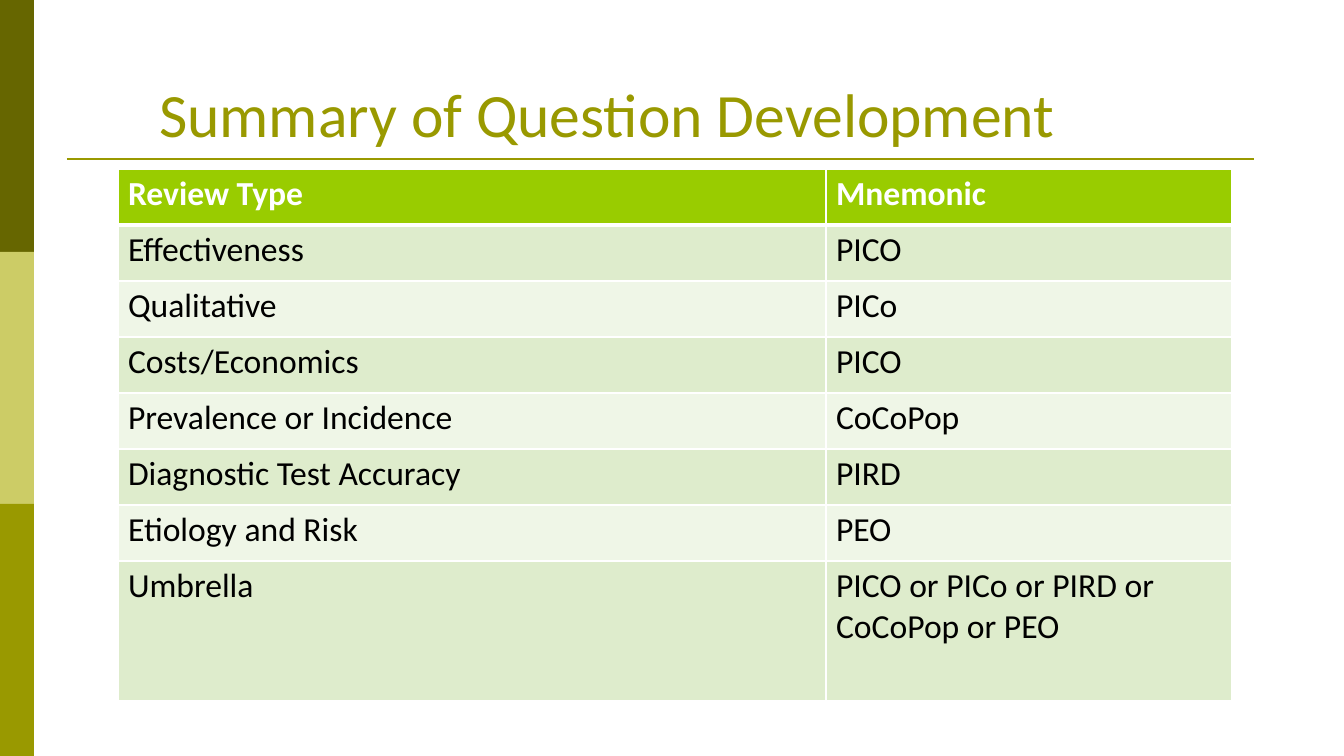
from lxml import etree
from pptx import Presentation
from pptx.dml.color import RGBColor
from pptx.enum.shapes import MSO_CONNECTOR, MSO_SHAPE
from pptx.enum.text import MSO_ANCHOR, MSO_AUTO_SIZE, PP_ALIGN
from pptx.oxml.ns import qn
from pptx.util import Emu, Pt

RECT, LINE = MSO_SHAPE.RECTANGLE, MSO_CONNECTOR.STRAIGHT
TOP, BOTTOM, LEFT = MSO_ANCHOR.TOP, MSO_ANCHOR.BOTTOM, PP_ALIGN.LEFT
NO_FIT = MSO_AUTO_SIZE.NONE

# Content
TITLE = "Summary of Question Development"
ROWS = [
    ("Review Type", "Mnemonic"),
    ("Effectiveness", "PICO"),
    ("Qualitative", "PICo"),
    ("Costs/Economics", "PICO"),
    ("Prevalence or Incidence", "CoCoPop"),
    ("Diagnostic Test Accuracy", "PIRD"),
    ("Etiology and Risk", "PEO"),
    ("Umbrella", "PICO or PICo or PIRD or CoCoPop or PEO"),
]

# Look and layout, in px
COLORS = {"dark": "666600", "light": "CCCC66", "olive": "999900",
          "header": "99CC00", "odd": "DEECCC", "even": "EFF6E7",
          "white": "FFFFFF", "black": "000000"}
FONT = "Calibri"
SLIDE_W, SLIDE_H = 1344, 756
BAND_W, BANDS = 34, ("dark", "light", "olive")
TITLE_BOX = (149, 43, 976, 112)
RULE_X1, RULE_X2, RULE_Y = 67, 1254, 159
TABLE_X, TABLE_Y = 118, 169
COL_W = (708, 406)
ROW_H, LAST_ROW_H = 56, 140


def px(n):
    return Emu(round(n * 914400 / 100.8))


def rgb(name):
    return RGBColor.from_string(COLORS[name])


def put_text(tf, text, size=24, color="black", bold=False):
    p = tf.paragraphs[0]
    p.alignment = LEFT
    r = p.add_run()
    r.text = text
    r.font.name, r.font.size, r.font.bold = FONT, Pt(size), bold
    r.font.color.rgb = rgb(color)


def set_borders(cell, **widths):
    tcPr = cell._tc.get_or_add_tcPr()
    for i, (side, width) in enumerate(widths.items()):
        ln = etree.Element(qn(f"a:{side}"), w=str(Pt(width)))
        fill = etree.SubElement(ln, qn("a:solidFill"))
        etree.SubElement(fill, qn("a:srgbClr"), val=COLORS["white"])
        tcPr.insert(i, ln)


prs = Presentation()
prs.slide_width, prs.slide_height = px(SLIDE_W), px(SLIDE_H)
s = prs.slides.add_slide(prs.slide_layouts[5])

# Side bands
band_h = SLIDE_H / len(BANDS)
for i, color in enumerate(BANDS):
    sp = s.shapes.add_shape(RECT, 0, px(i * band_h), px(BAND_W), px(band_h))
    sp.shadow.inherit = False
    sp.fill.solid()
    sp.fill.fore_color.rgb = rgb(color)
    sp.line.fill.background()

# Rule under the title
rule = s.shapes.add_connector(LINE, px(RULE_X1), px(RULE_Y), px(RULE_X2), px(RULE_Y))
rule.line.color.rgb = rgb("olive")
rule.line.width = Pt(1.5)
etree.SubElement(rule._element.spPr, qn("a:effectLst"))

# Title
title = s.shapes.title
title.left, title.top, title.width, title.height = map(px, TITLE_BOX)
tf = title.text_frame
tf.word_wrap, tf.auto_size, tf.vertical_anchor = True, NO_FIT, BOTTOM
put_text(tf, TITLE, size=44, color="olive")

# Table
heights = [ROW_H] * (len(ROWS) - 1) + [LAST_ROW_H]
table = s.shapes.add_table(len(ROWS), len(COL_W), px(TABLE_X), px(TABLE_Y),
                           px(sum(COL_W)), px(sum(heights))).table
for col, width in zip(table.columns, COL_W):
    col.width = px(width)
for i, (row, height, texts) in enumerate(zip(table.rows, heights, ROWS)):
    row.height = px(height)
    head = i == 0
    fill = "header" if head else "odd" if i % 2 else "even"
    for cell, text in zip(row.cells, texts):
        cell.vertical_anchor = TOP
        cell.fill.solid()
        cell.fill.fore_color.rgb = rgb(fill)
        set_borders(cell, lnL=1, lnR=1, lnT=3 if i == 1 else 1, lnB=3 if head else 1)
        put_text(cell.text_frame, text, color="white" if head else "black", bold=head)

prs.save("out.pptx")
